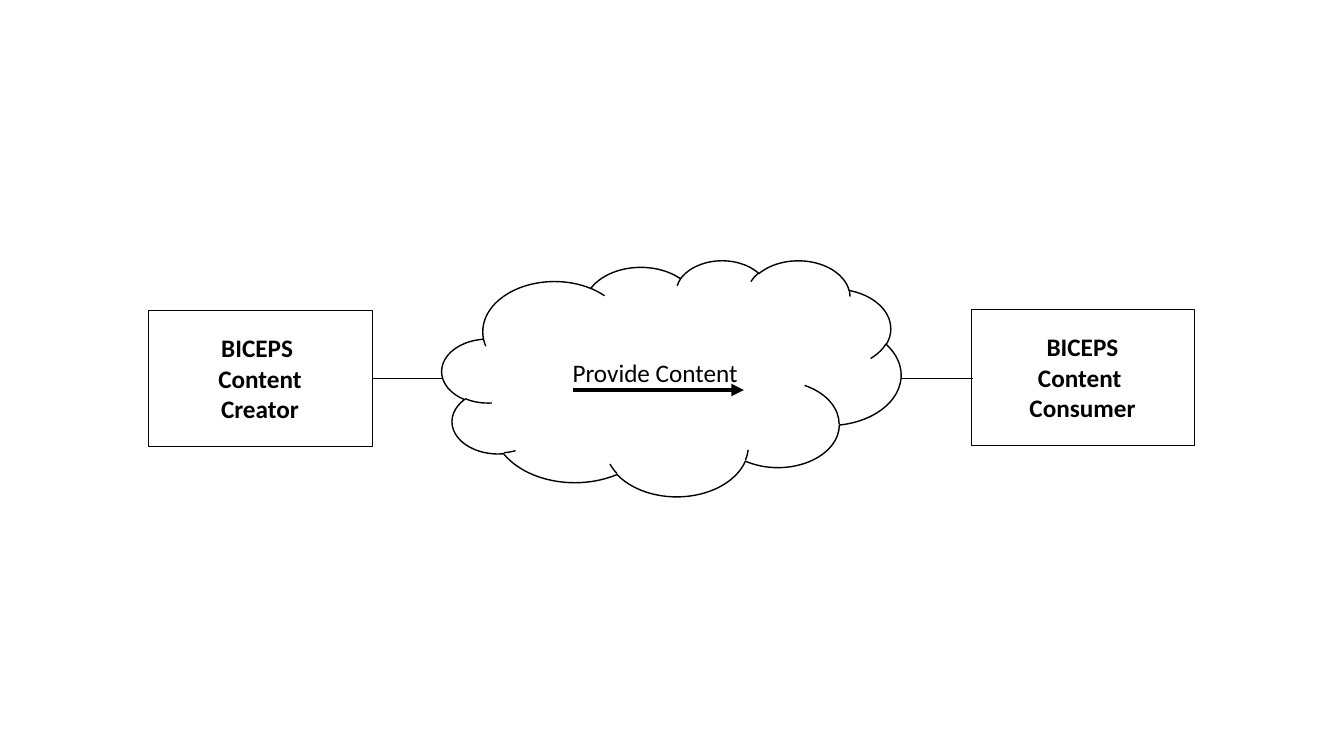
from pptx import Presentation, util as u
from pptx.dml.color import RGBColor
from pptx.enum import shapes, text
from lxml import etree
from pptx.oxml import ns

PX = 914400 / 100.8
COLORS = {"ink": "000000", "paper": "FFFFFF"}
FONT, SIZE = "Calibri", 18

# kind, box (left, top, width, height), line width, fill, bold, paragraphs
NODES = [
    ("RECTANGLE", (148, 310, 224, 136), 0.5, "paper", True,
     ["BICEPS ", "Content", "Creator"]),
    ("RECTANGLE", (971, 309, 223, 136), 0.5, "paper", True,
     ["BICEPS", "Content ", "Consumer"]),
    ("CLOUD", (442, 260, 459, 236), 1, None, False, ["Provide Content"]),
]
# x from, x to, y, line width, arrowhead
LINKS = [
    (573, 744, 390, 3, True),
    (372, 443, 378, 0.5, False),
    (901, 973, 378, 0.5, False),
]


def emu(px):
    """Turn pixels into EMU."""
    return u.Emu(round(px * PX))


def rgb(name):
    """Look up a named colour."""
    return RGBColor.from_string(COLORS[name])


def set_line(shape, width):
    """Give a shape or connector an ink line."""
    shape.line.color.rgb = rgb("ink")
    shape.line.width = u.Pt(width)


def add_node(s, kind, box, width, fill, bold, lines):
    """Add an outlined shape with centred text."""
    sp = s.shapes.add_shape(getattr(shapes.MSO_SHAPE, kind), *map(emu, box))
    sp.shadow.inherit = False
    if fill:
        sp.fill.solid()
        sp.fill.fore_color.rgb = rgb(fill)
    else:
        sp.fill.background()
    set_line(sp, width)
    tf = sp.text_frame
    tf.word_wrap = True
    tf.vertical_anchor = text.MSO_ANCHOR.MIDDLE
    tf.text = "\n".join(lines)
    for p in tf.paragraphs:
        p.alignment = text.PP_ALIGN.CENTER
        for r in p.runs:
            r.font.name, r.font.size, r.font.bold = FONT, u.Pt(SIZE), bold
            r.font.color.rgb = rgb("ink")


def add_link(s, x1, x2, y, width, arrow):
    """Add a horizontal connector, with an arrowhead if asked."""
    cx = s.shapes.add_connector(shapes.MSO_CONNECTOR.STRAIGHT,
                                emu(x1), emu(y), emu(x2), emu(y))
    set_line(cx, width)
    if arrow:
        etree.SubElement(cx.line._get_or_add_ln(), ns.qn("a:tailEnd"),
                         type="triangle")
    etree.SubElement(cx._element.spPr, ns.qn("a:effectLst"))


prs = Presentation()
prs.slide_width, prs.slide_height = emu(1344), emu(756)
s = prs.slides.add_slide(prs.slide_layouts[6])
for node in NODES:
    add_node(s, *node)
for link in LINKS:
    add_link(s, *link)
prs.save("out.pptx")
